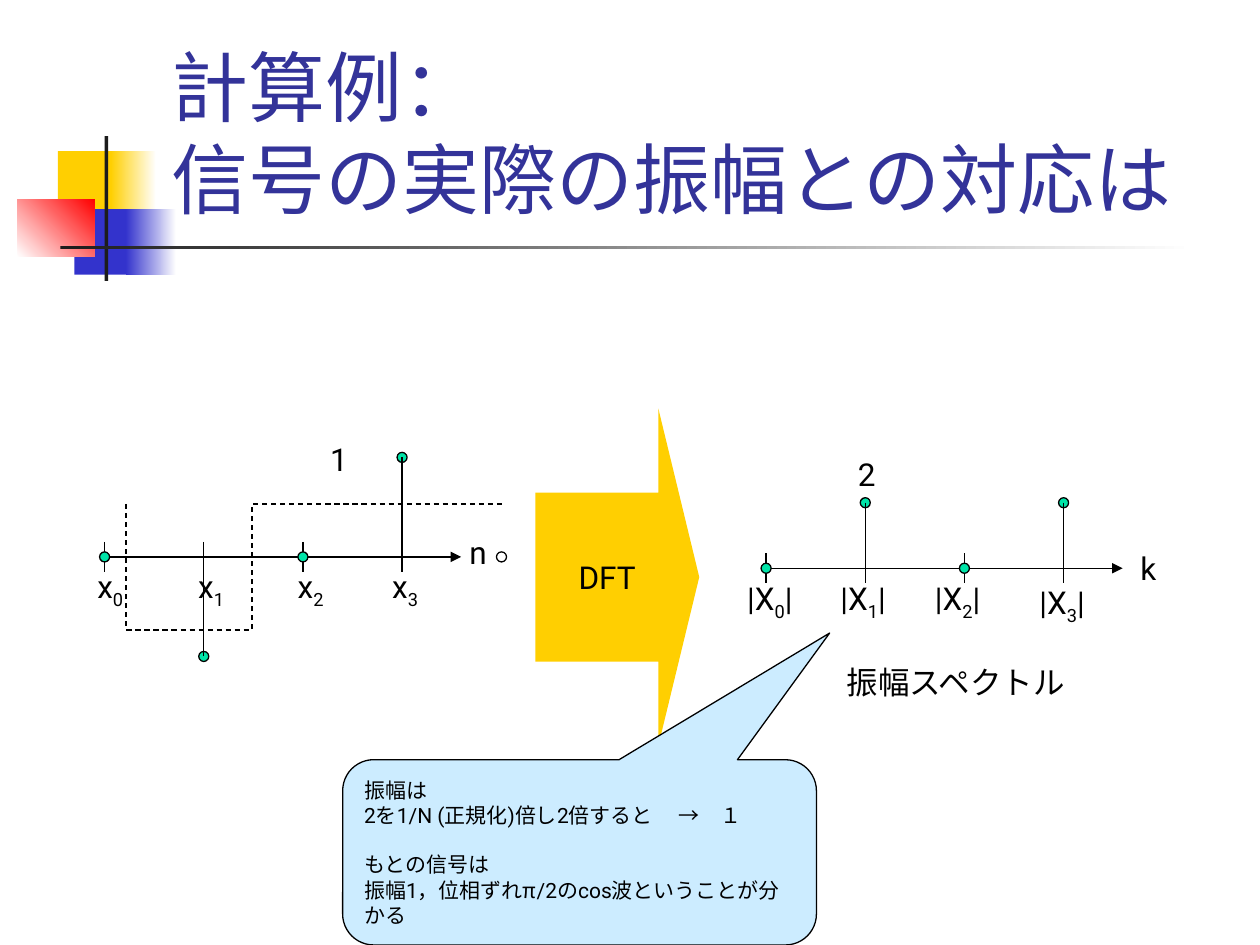
from lxml.etree import SubElement
from pptx import Presentation
from pptx.dml.color import RGBColor
from pptx.enum.dml import MSO_LINE
from pptx.enum.shapes import MSO_CONNECTOR, MSO_SHAPE
from pptx.enum.text import MSO_ANCHOR, MSO_AUTO_SIZE, PP_ALIGN
from pptx.oxml.ns import qn
from pptx.util import Inches, Pt

BLACK, DARK, GOLD, BLUE = "000000", "1C1C1C", "FFCF01", "3333CC"
RED, WHITE, GREEN, PALE, NAVY = "FF0000", "FFFFFF", "00E4A8", "CCECFF", "333399"
FONT, KANJI = "Roboto", "Noto Sans CJK JP"
STEP, TICK, DOT = 0.787, 0.12, 0.08


def color(target, code):
    """Set a colour format from a hex string."""
    target.rgb = RGBColor.from_string(code)


def write(para, parts, size=18, ink=BLACK, align=PP_ALIGN.CENTER):
    """Fill a paragraph with one run per part and return the runs."""
    para.text = parts[0]
    for part in parts[1:]:
        para.add_run().text = part
    para.alignment = align
    for run in para.runs:
        run.font.name, run.font.size = FONT, Pt(size)
        color(run.font.color, ink)
    return para.runs


def shape(slide, kind, box, fill=None, edge=None):
    """Add a preset shape with a plain fill and an optional edge."""
    item = slide.shapes.add_shape(kind, *map(Inches, box))
    item.shadow.inherit = False
    if fill:
        item.fill.solid()
        color(item.fill.fore_color, fill)
    else:
        item.fill.background()
    if edge:
        color(item.line.color, edge)
        item.line.width = Pt(0.75)
    else:
        item.line.fill.background()
    return item


def fade(slide, box, start, end, angle=0):
    """Add a rectangle that blends two colours."""
    fill = shape(slide, MSO_SHAPE.RECTANGLE, box).fill
    fill.gradient()
    fill.gradient_angle = angle
    for stop, code in zip(fill.gradient_stops, (start, end)):
        color(stop.color, code)


def line(shapes, start, end, arrow=False):
    """Add a thin black line, with an arrowhead if wanted."""
    item = shapes.add_connector(MSO_CONNECTOR.STRAIGHT, *map(Inches, start + end))
    color(item.line.color, BLACK)
    item.line.width = Pt(0.75)
    props = item.element.spPr
    if arrow:
        SubElement(props.find(qn("a:ln")), qn("a:tailEnd"), type="triangle")
    SubElement(props, qn("a:effectLst"))


def label(slide, box, *parts):
    """Add centred text in which every second part is a subscript."""
    frame = slide.shapes.add_textbox(*map(Inches, box)).text_frame
    frame.word_wrap = False
    frame.auto_size = MSO_AUTO_SIZE.SHAPE_TO_FIT_TEXT
    for run in write(frame.paragraphs[0], parts)[1::2]:
        run.font._element.set("baseline", "-25000")


def dot(slide, x, y, fill=GREEN):
    """Add a sample point centred on a place."""
    box = (x - DOT / 2, y - DOT / 2, DOT, DOT)
    shape(slide, MSO_SHAPE.OVAL, box, fill, BLACK)


def plot(slide, left, base, rises):
    """Draw an axis with ticks, stems and sample points."""
    axis = slide.shapes.add_group_shape().shapes
    line(axis, (left, base), (left + 2.83, base), arrow=True)
    for i, rise in enumerate(rises):
        x = left + i * STEP
        line(axis, (x, base - TICK), (x, base + TICK))
        dot(slide, x, base - rise)
        if rise:
            line(slide.shapes, (x, base - rise), (x, base))


def bend(nodes, count=16):
    """Return points along a chain of cubic curves."""
    points = [nodes[0]]
    for i in range(0, len(nodes) - 1, 3):
        for k in range(1, count + 1):
            t = k / count
            parts = ((1 - t) ** 3, 3 * t * (1 - t) ** 2, 3 * t * t * (1 - t), t ** 3)
            quad = nodes[i:i + 4]
            points.append(tuple(sum(w * p[a] for w, p in zip(parts, quad))
                                for a in (0, 1)))
    return points


def wave(slide):
    """Draw the dashed wave through the samples."""
    nodes = [(0.79, 4.42), (0.76, 4.41), (0.73, 4.41), (0.87, 4.54),
             (1, 4.67), (1.36, 5.23), (1.61, 5.21),
             (1.87, 5.19), (2.14, 4.68), (2.4, 4.42),
             (2.66, 4.16), (2.93, 3.64), (3.19, 3.63),
             (3.44, 3.63), (3.69, 4), (3.94, 4.38)]
    first, *rest = bend(nodes)
    pen = slide.shapes.build_freeform(*first, scale=Inches(1))
    pen.add_line_segments(rest, close=False)
    item = pen.convert_to_shape()
    item.shadow.inherit = False
    item.fill.background()
    color(item.line.color, BLACK)
    item.line.width = Pt(0.75)
    item.line.dash_style = MSO_LINE.DASH


def decor(slide):
    """Draw the coloured blocks and rules beside the title."""
    rect = MSO_SHAPE.RECTANGLE
    shape(slide, rect, (0.46, 1.2, 0.48, 0.52), GOLD)
    fade(slide, (0.88, 1.2, 0.36, 0.52), GOLD, WHITE)
    shape(slide, rect, (0.59, 1.66, 0.46, 0.52), BLUE)
    fade(slide, (1, 1.66, 0.4, 0.52), BLUE, WHITE)
    fade(slide, (0.14, 1.58, 0.61, 0.46), WHITE, RED, 45)
    shape(slide, rect, (0.83, 1.08, 0.03, 1.15), DARK)
    fade(slide, (0.48, 1.95, 9, 0.03), DARK, WHITE)


def head(slide, text):
    """Place and format the title."""
    title = slide.shapes.title
    title.left, title.top, title.width, title.height = map(
        Inches, (1.26, 0.23, 8.52, 1.6))
    frame = title.text_frame
    frame.auto_size = MSO_AUTO_SIZE.NONE
    frame.vertical_anchor = MSO_ANCHOR.BOTTOM
    write(frame.paragraphs[0], [text], 44, NAVY, PP_ALIGN.LEFT)


def arrow(slide):
    """Draw the block arrow of the transform."""
    item = shape(slide, MSO_SHAPE.RIGHT_ARROW, (4.25, 3.24, 1.3, 2.68), GOLD)
    item.adjustments[0], item.adjustments[1] = 0.5, 0.25
    item.text_frame.word_wrap = False
    write(item.text_frame.paragraphs[0], ["DFT"])


def note(slide):
    """Draw the callout that explains the amplitude."""
    item = shape(slide, MSO_SHAPE.ROUNDED_RECTANGULAR_CALLOUT,
                 (2.72, 6.03, 3.76, 1.47), PALE, BLACK)
    for i, value in enumerate((0.528, -1.184, 0.167)):
        item.adjustments[i] = value
    frame = item.text_frame
    frame.word_wrap = True
    rows = [["振幅は"], ["2を1/N (正規化)倍し2倍すると　 →　１"], ["もとの信号は"],
            ["振幅1，位相ずれ", "π", "/2のcos波ということが分かる"]]
    frame.text = "\n".join(row[0] for row in rows)
    for para, row in zip(frame.paragraphs, rows):
        for run in write(para, row, 12, align=PP_ALIGN.LEFT)[1::2]:
            run.font.name = KANJI
    frame.paragraphs[2].space_before = Pt(14)


def main():
    """Build the slide and save it."""
    deck = Presentation()
    deck.slide_width, deck.slide_height = Inches(10), Inches(7.5)
    slide = deck.slides.add_slide(deck.slide_layouts[5])
    decor(slide)
    head(slide, "計算例：\v信号の実際の振幅との対応は")
    arrow(slide)
    plot(slide, 0.83, 4.42, (0, -0.79, 0, 0.79))
    plot(slide, 6.08, 4.51, (0, 0.52, 0, 0.52))
    dot(slide, 3.98, 4.42, None)
    wave(slide)
    for i, x in enumerate((0.67, 1.47, 2.26, 3.01)):
        label(slide, (x, 4.45, 0.41, 0.44), "x", str(i))
    for i, (x, y) in enumerate(((5.76, 4.55), (6.5, 4.55), (7.25, 4.55), (8.08, 4.58))):
        label(slide, (x, y, 0.7, 0.44), "|X", str(i), "|")
    label(slide, (2.52, 3.44, 0.34, 0.4), "1")
    label(slide, (3.62, 4.18, 0.35, 0.4), "n")
    label(slide, (6.71, 3.56, 0.34, 0.4), "2")
    label(slide, (8.95, 4.31, 0.33, 0.4), "k")
    label(slide, (6.61, 5.21, 1.95, 0.4), "振幅スペクトル")
    note(slide)
    deck.save("out.pptx")


if __name__ == "__main__":
    main()
